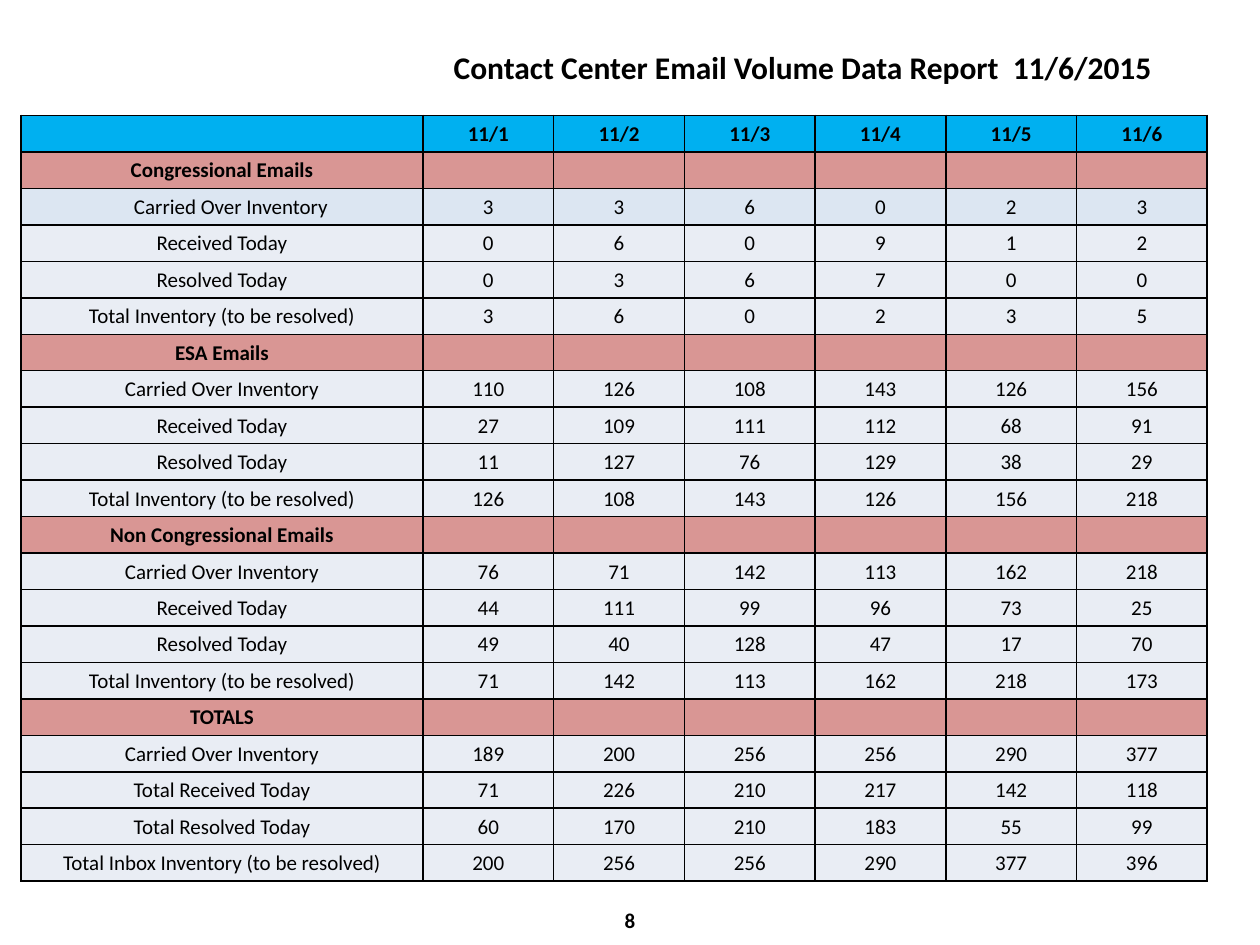
import pptx
import pptx.util
import pptx.dml.color
import pptx.enum.text
from lxml import etree
from pptx.oxml.ns import qn

Pt = pptx.util.Pt
ALIGN = pptx.enum.text.PP_ALIGN
ANCHOR = pptx.enum.text.MSO_ANCHOR

# Content
TITLE = "Contact Center Email Volume Data Report  11/6/2015"
PAGE = "8"
DATES = ["11/1", "11/2", "11/3", "11/4", "11/5", "11/6"]
CARRIED, RECEIVED, RESOLVED = "Carried Over Inventory", "Received Today", "Resolved Today"
LABELS = [CARRIED, RECEIVED, RESOLVED, "Total Inventory (to be resolved)"]
TOTAL_LABELS = [CARRIED, "Total " + RECEIVED, "Total " + RESOLVED,
                "Total Inbox Inventory (to be resolved)"]
SECTIONS = [
    ("Congressional Emails", LABELS, [
        (3, 3, 6, 0, 2, 3), (0, 6, 0, 9, 1, 2),
        (0, 3, 6, 7, 0, 0), (3, 6, 0, 2, 3, 5)]),
    ("ESA Emails", LABELS, [
        (110, 126, 108, 143, 126, 156), (27, 109, 111, 112, 68, 91),
        (11, 127, 76, 129, 38, 29), (126, 108, 143, 126, 156, 218)]),
    ("Non Congressional Emails", LABELS, [
        (76, 71, 142, 113, 162, 218), (44, 111, 99, 96, 73, 25),
        (49, 40, 128, 47, 17, 70), (71, 142, 113, 162, 218, 173)]),
    ("TOTALS", TOTAL_LABELS, [
        (189, 200, 256, 256, 290, 377), (71, 226, 210, 217, 142, 118),
        (60, 170, 210, 183, 55, 99), (200, 256, 256, 290, 377, 396)]),
]
BLUE, ROSE, FIRST, PALE, BLACK = "00B0F0", "D99694", "DCE6F2", "E9EDF4", "000000"
LABEL_W, DATE_W, ROW_H = 229.7, 74.7, 20.85
FIRST_INDENT = 11


def rgb(value):
    return pptx.dml.color.RGBColor.from_string(value)


def write(tf, text, size, bold, align):
    p = tf.paragraphs[0]
    p.alignment = align
    if text:
        p.add_run().text = text
    else:
        p._p.get_or_add_endParaRPr().set("sz", str(size * 100))
    p.font.name, p.font.size, p.font.bold = "Calibri", Pt(size), bold
    p.font.color.rgb = rgb(BLACK)


def add_borders(cell):
    tcPr = cell._tc.get_or_add_tcPr()
    for i, side in enumerate(("lnL", "lnR", "lnT", "lnB")):
        ln = etree.Element(qn("a:" + side), w=str(Pt(1)))
        fill = etree.SubElement(ln, qn("a:solidFill"))
        etree.SubElement(fill, qn("a:srgbClr"), val=BLACK)
        tcPr.insert(i, ln)


def fill_cell(cell, text, color, bold):
    cell.margin_left = cell.margin_right = cell.margin_top = Pt(0.7)
    cell.margin_bottom = 0
    cell.vertical_anchor = ANCHOR.MIDDLE
    cell.fill.solid()
    cell.fill.fore_color.rgb = rgb(color)
    add_borders(cell)
    write(cell.text_frame, text, 12, bold, ALIGN.CENTER)


prs = pptx.Presentation()
prs.slide_width, prs.slide_height = Pt(720), Pt(540)
s = prs.slides.add_slide(prs.slide_layouts[5])

# Title
title = s.shapes.title
title.left, title.top, title.width, title.height = Pt(252), Pt(24), Pt(462), Pt(29)
title.text_frame.auto_size = pptx.enum.text.MSO_AUTO_SIZE.NONE
title.text_frame.vertical_anchor = ANCHOR.TOP
write(title.text_frame, TITLE, 18, True, ALIGN.LEFT)

# Rows as (texts, fill, bold)
rows = [([""] + DATES, BLUE, True)]
for heading, labels, values in SECTIONS:
    rows.append(([heading] + [""] * len(DATES), ROSE, True))
    for label, counts in zip(labels, values):
        rows.append(([label] + [str(n) for n in counts], PALE, False))
rows[2] = (rows[2][0], FIRST, False)

# Table
widths = [LABEL_W] + [DATE_W] * len(DATES)
table = s.shapes.add_table(len(rows), len(widths), Pt(12), Pt(66),
                           Pt(sum(widths)), Pt(ROW_H * len(rows))).table
for column, width in zip(table.columns, widths):
    column.width = Pt(width)
for r, (texts, color, bold) in enumerate(rows):
    table.rows[r].height = Pt(ROW_H)
    for c, text in enumerate(texts):
        fill_cell(table.cell(r, c), text, color, bold)
table.cell(2, 0).margin_left = Pt(FIRST_INDENT)

# Page number
tf = s.shapes.add_textbox(Pt(246), Pt(511), Pt(228), Pt(29)).text_frame
tf.word_wrap = True
tf.vertical_anchor = ANCHOR.MIDDLE
write(tf, PAGE, 12, True, ALIGN.CENTER)

prs.save("out.pptx")
